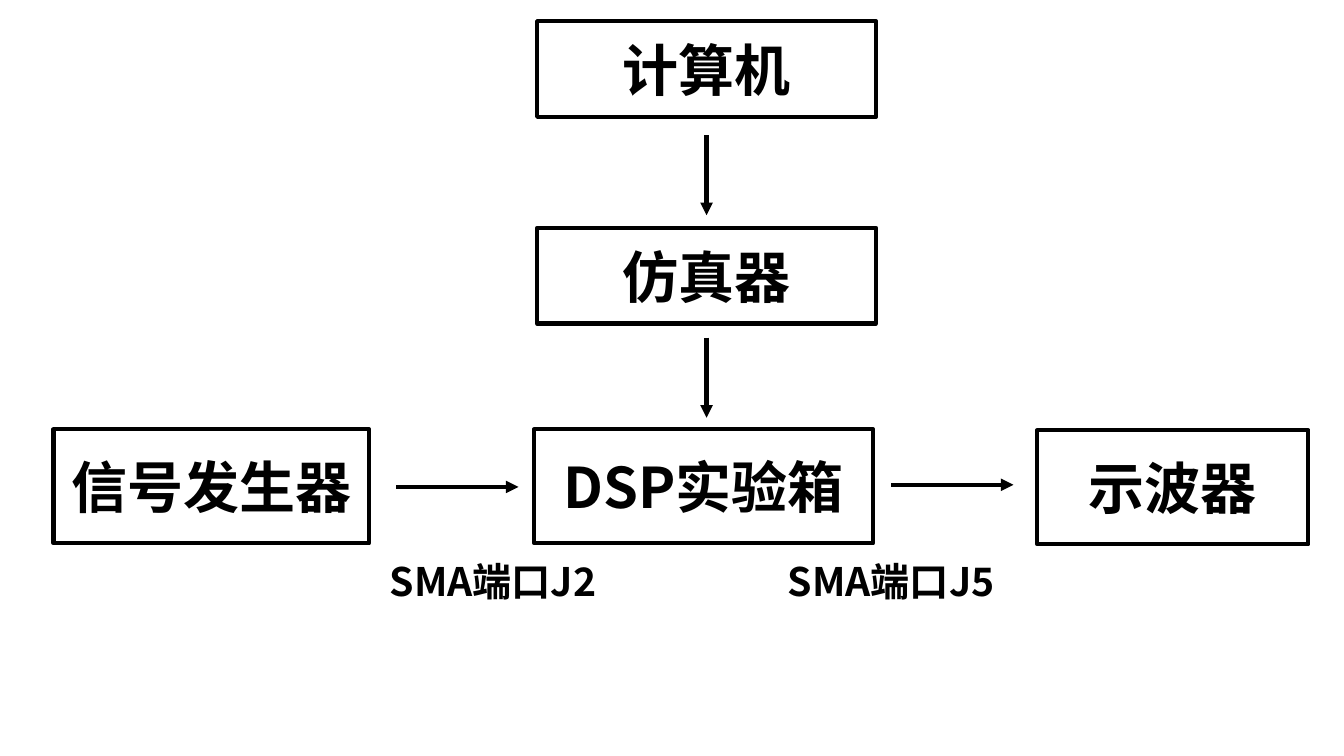
from dataclasses import dataclass

import lxml.etree
import pptx
import pptx.dml.color
import pptx.enum.shapes
import pptx.enum.text
import pptx.oxml.ns
import pptx.util

Pt = pptx.util.Pt
qn = pptx.oxml.ns.qn
BLACK = pptx.dml.color.RGBColor(0, 0, 0)
WHITE = pptx.dml.color.RGBColor(255, 255, 255)
FONT = "Noto Sans CJK SC"
STROKE = 3
WIDE = 242
TALL = 81.4
SHORT = 68.4
MID = 504.7
LEFT = MID - WIDE / 2


@dataclass
class Box:
    text: str
    x: float
    y: float
    width: float
    height: float


@dataclass
class Arrow:
    x: float
    y: float
    across: float
    down: float


BOXES = [
    Box("DSP实验箱", 381.6, 306.7, WIDE, TALL),
    Box("信号发生器", 38.2, 306.7, 225.4, TALL),
    Box("示波器", 740.9, 307.4, 193.7, TALL),
    Box("计算机", LEFT, 15.1, WIDE, SHORT),
    Box("仿真器", LEFT, 162.7, WIDE, SHORT),
]
LABELS = [
    Box("SMA端口J2", 231.1, 380.9, WIDE, SHORT),
    Box("SMA端口J5", 515.5, 380.9, WIDE, SHORT),
]
ARROWS = [
    Arrow(283, 347.8, 87.4, 0),
    Arrow(636.5, 346.3, 87.4, 0),
    Arrow(MID, 96.5, 0, 57.2),
    Arrow(MID, 241.2, 0, 57.2),
]


def write(shape, text: str, *, size: float, bold: bool = True, color=BLACK) -> None:
    frame = shape.text_frame
    frame.word_wrap = True
    frame.vertical_anchor = pptx.enum.text.MSO_ANCHOR.MIDDLE
    para = frame.paragraphs[0]
    para.alignment = pptx.enum.text.PP_ALIGN.CENTER
    run = para.add_run()
    run.text = text
    font = run.font
    font.name, font.size, font.bold = FONT, Pt(size), bold
    font.color.rgb = color
    east = lxml.etree.SubElement(font._element, qn("a:ea"))
    east.set("typeface", FONT)


def place(box: Box) -> tuple:
    return Pt(box.x), Pt(box.y), Pt(box.width), Pt(box.height)


def stroke(line) -> None:
    line.color.rgb = BLACK
    line.width = Pt(STROKE)


def draw_box(slide, box: Box) -> None:
    kind = pptx.enum.shapes.MSO_SHAPE.RECTANGLE
    shape = slide.shapes.add_shape(kind, *place(box))
    shape.shadow.inherit = False
    shape.fill.solid()
    shape.fill.fore_color.rgb = WHITE
    stroke(shape.line)
    write(shape, box.text, size=40)


def draw_label(slide, box: Box) -> None:
    write(slide.shapes.add_textbox(*place(box)), box.text, size=28)


def draw_arrow(slide, arrow: Arrow) -> None:
    link = slide.shapes.add_connector(
        pptx.enum.shapes.MSO_CONNECTOR.STRAIGHT,
        Pt(arrow.x), Pt(arrow.y),
        Pt(arrow.x + arrow.across), Pt(arrow.y + arrow.down),
    )
    stroke(link.line)
    props = link._element.spPr
    head = lxml.etree.SubElement(props.find(qn("a:ln")), qn("a:tailEnd"))
    head.set("type", "triangle")
    lxml.etree.SubElement(props, qn("a:effectLst"))


deck = pptx.Presentation()
deck.slide_width, deck.slide_height = Pt(960), Pt(540)
slide = deck.slides.add_slide(deck.slide_layouts[6])
for box in BOXES:
    draw_box(slide, box)
for arrow in ARROWS:
    draw_arrow(slide, arrow)
for label in LABELS:
    draw_label(slide, label)
deck.save("out.pptx")
